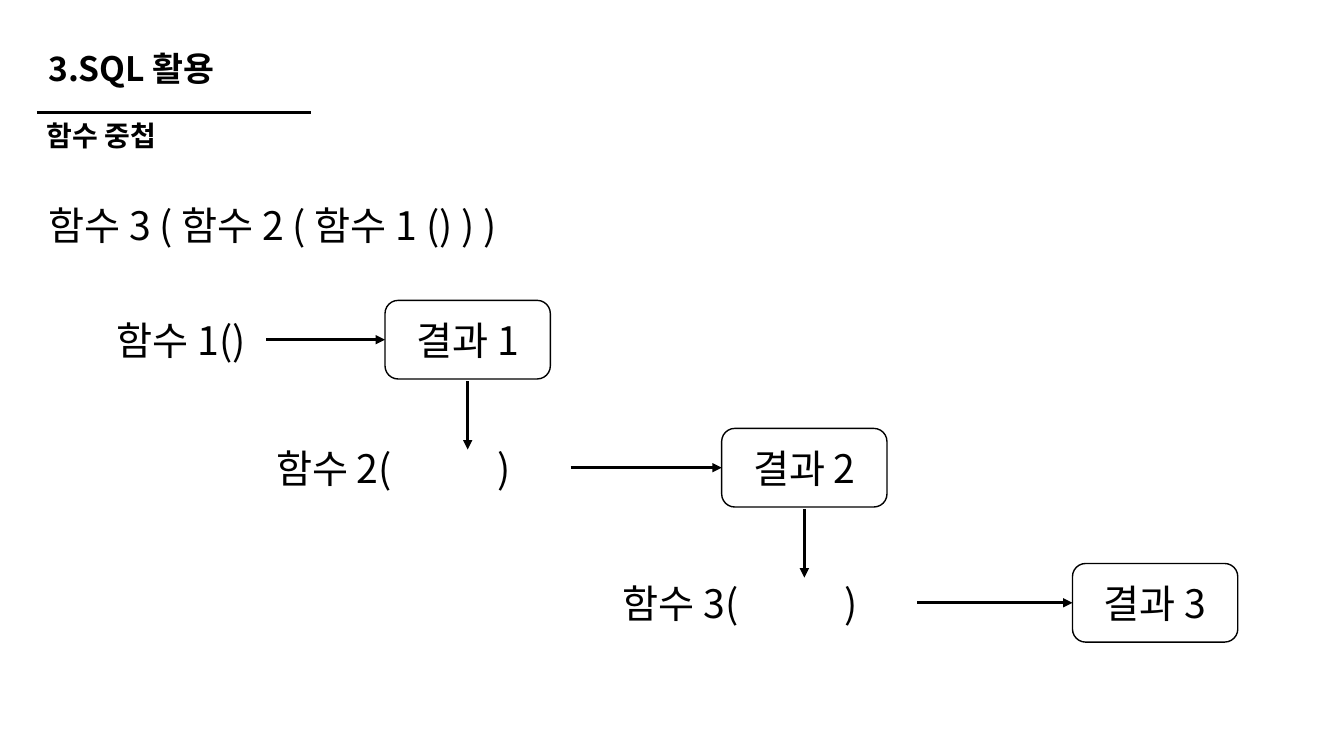
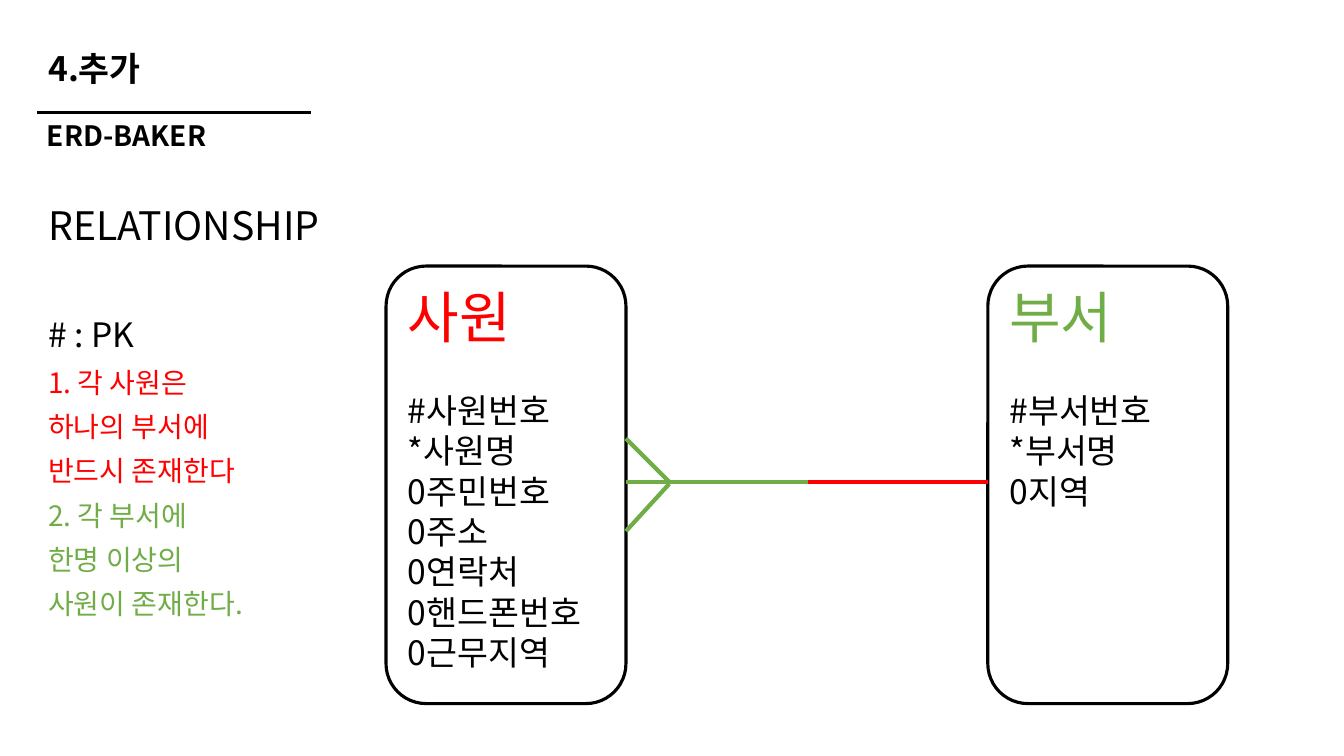
"""Build two SQL lesson slides: nested functions and an ERD relationship."""
from dataclasses import dataclass

from lxml import etree
from pptx import Presentation
from pptx.dml.color import RGBColor
from pptx.enum.shapes import MSO_CONNECTOR, MSO_SHAPE
from pptx.enum.text import MSO_ANCHOR, PP_ALIGN
from pptx.oxml.ns import qn
from pptx.util import Inches, Pt

STRAIGHT = MSO_CONNECTOR.STRAIGHT
ROUNDED = MSO_SHAPE.ROUNDED_RECTANGLE
TOP, MIDDLE = MSO_ANCHOR.TOP, MSO_ANCHOR.MIDDLE
LEFT, CENTER = PP_ALIGN.LEFT, PP_ALIGN.CENTER
COLUMNS, ROWS = 80, 45
CELL = Inches(1) // 6


@dataclass(frozen=True)
class Theme:
    font: str = "Noto Sans CJK KR"
    ink: str = "000000"
    red: str = "FF0000"
    green: str = "70AD47"
    entity: int = 40
    body: int = 28
    title: int = 24
    small: int = 20
    tight: float = 0.9
    gap: int = 10
    thin: float = 1
    rule: float = 2.25
    relation: float = 3


@dataclass(frozen=True)
class Line:
    text: str
    size: int
    color: str = Theme.ink
    bold: bool = False
    before: float = 0


class Deck:
    def __init__(self, theme):
        self.theme = theme
        self.deck = Presentation()
        self.deck.slide_width = COLUMNS * CELL
        self.deck.slide_height = ROWS * CELL
        self.slide = None

    def cells(self, *lengths):
        return [round(length * CELL) for length in lengths]

    def set_lines(self, frame, lines, anchor=TOP, align=LEFT, spacing=1.0, tab=None):
        frame.word_wrap = True
        frame.vertical_anchor = anchor
        for index, line in enumerate(lines):
            paragraph = frame.add_paragraph() if index else frame.paragraphs[0]
            paragraph.alignment = align
            paragraph.line_spacing = spacing
            paragraph.space_before = Pt(line.before)
            if tab:
                stops = etree.SubElement(paragraph._p.get_or_add_pPr(), qn("a:tabLst"))
                etree.SubElement(stops, qn("a:tab"), pos=str(self.cells(tab)[0]), algn="l")
            run = paragraph.add_run()
            run.text = line.text
            run.font.size = Pt(line.size)
            run.font.bold = line.bold
            run.font.color.rgb = RGBColor.from_string(line.color)
            run.font.name = self.theme.font
            etree.SubElement(run._r.get_or_add_rPr(), qn("a:ea"), typeface=self.theme.font)

    def text(self, area, lines, **style):
        box = self.slide.shapes.add_textbox(*self.cells(*area))
        self.set_lines(box.text_frame, lines, **style)

    def box(self, area, line, width, **style):
        shape = self.slide.shapes.add_shape(ROUNDED, *self.cells(*area))
        shape.shadow.inherit = False
        shape.fill.background()
        shape.line.color.rgb = RGBColor.from_string(self.theme.ink)
        shape.line.width = Pt(width)
        self.set_lines(shape.text_frame, [line], **style)

    def line(self, ends, color, width, arrow=False):
        connector = self.slide.shapes.add_connector(STRAIGHT, *self.cells(*ends))
        connector.line.color.rgb = RGBColor.from_string(color)
        connector.line.width = Pt(width)
        properties = connector._element.spPr
        etree.SubElement(properties, qn("a:effectLst"))
        if arrow:
            etree.SubElement(properties.find(qn("a:ln")), qn("a:tailEnd"), type="triangle")

    def arrow(self, *ends):
        self.line(ends, self.theme.ink, self.theme.rule, arrow=True)

    def page(self, title, subtitle, body):
        theme = self.theme
        self.slide = self.deck.slides.add_slide(self.deck.slide_layouts[6])
        self.text((2.28, 1.86, 26.1, 4.74), [Line(title, theme.title, bold=True)],
                  anchor=MIDDLE, spacing=theme.tight)
        self.text((2.28, 12, 75.2, 31.7), body, spacing=theme.tight)
        self.line((2.2, 6.72, 18.54, 6.72), theme.ink, theme.rule)
        self.text((2.2, 6.78, 15.5, 2.8), [Line(subtitle, theme.small, bold=True)],
                  anchor=MIDDLE, spacing=theme.tight)

    def entity(self, left, name, color, attributes):
        theme = self.theme
        self.box((left, 15.84, 14.28, 26.04), Line(name, theme.entity, color), theme.rule)
        self.text((left + 0.7, 22.92, 13.5, 17),
                  [Line(attribute, theme.title) for attribute in attributes])


def nested_functions(deck):
    theme = deck.theme
    deck.page("3.SQL 활용", "함수 중첩", [Line("함수 3 ( 함수 2 ( 함수 1 () ) )", theme.body)])
    width, height = 9.84, 4.68
    steps = [
        ("함수 1()", 6.36, 9.48, 22.92, 17.88),
        ("함수 2(\t)", 15.84, 18.12, 42.96, 25.5),
        ("함수 3(\t)", 36.48, 18.12, 63.84, 33.54),
    ]
    for number, (call, left, span, result, top) in enumerate(steps, 1):
        middle = top + height / 2
        center = result + width / 2
        deck.text((left, top + 0.66, span, 3.42), [Line(call, theme.body)], tab=13.2)
        deck.arrow(left + span, middle, result, middle)
        deck.box((result, top, width, height), Line(f"결과 {number}", theme.body),
                 theme.thin, anchor=MIDDLE, align=CENTER)
        if number < len(steps):
            deck.arrow(center, top + height + 0.12, center, top + height + 4.2)


def relationship(deck):
    theme = deck.theme
    rules = [
        (theme.red, ["1. 각 사원은", "하나의 부서에", "반드시 존재한다"]),
        (theme.green, ["2. 각 부서에", "한명 이상의", "사원이 존재한다."]),
    ]
    body = [Line("RELATIONSHIP", theme.body), Line("# : PK", theme.title, before=50)]
    body += [Line(text, theme.small, color, before=theme.gap)
             for color, texts in rules for text in texts]
    deck.page("4.추가", "ERD-BAKER", body)
    deck.entity(22.98, "사원", theme.red,
                ["#사원번호", "*사원명", "0주민번호", "0주소", "0연락처", "0핸드폰번호", "0근무지역"])
    deck.entity(58.8, "부서", theme.green, ["#부서번호", "*부서명", "0지역"])
    employee, fork, halfway, department, level = 37.26, 39.84, 48.12, 58.8, 28.68
    for ends, color in [
        ((employee, level, halfway, level), theme.green),
        ((halfway, level, department, level), theme.red),
        ((employee, 26.1, fork, level), theme.green),
        ((fork, level + 0.12, employee, 31.62), theme.green),
    ]:
        deck.line(ends, color, theme.relation)


def main():
    deck = Deck(Theme())
    nested_functions(deck)
    relationship(deck)
    deck.deck.save("out.pptx")


if __name__ == "__main__":
    main()
